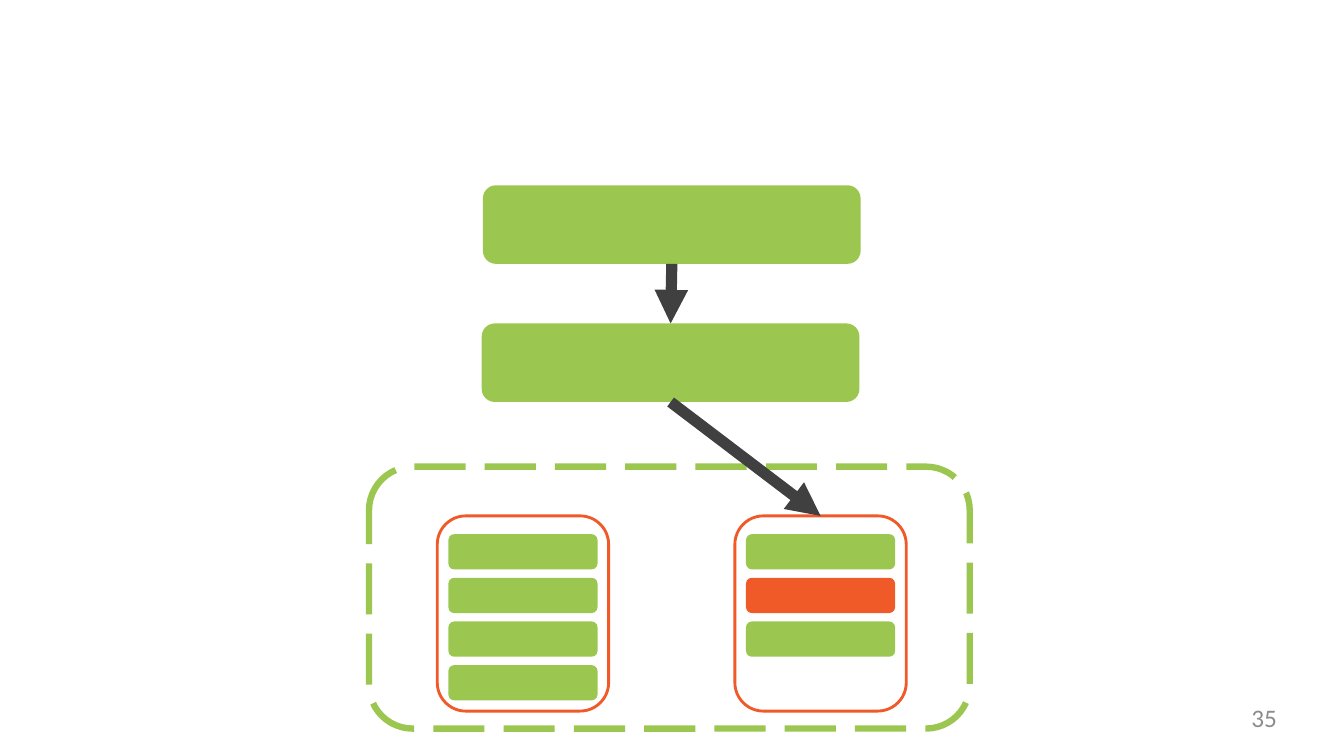
from lxml import etree
from pptx import Presentation
from pptx.dml.color import RGBColor
from pptx.enum.dml import MSO_LINE
from pptx.enum.shapes import MSO_CONNECTOR, MSO_SHAPE
from pptx.enum.text import PP_ALIGN
from pptx.oxml.ns import qn
from pptx.util import Cm, Pt

ROUNDED = MSO_SHAPE.ROUNDED_RECTANGLE
STRAIGHT = MSO_CONNECTOR.STRAIGHT
LONG_DASH = MSO_LINE.LONG_DASH
RIGHT = PP_ALIGN.RIGHT

GREEN, ORANGE, DARK, GREY = "9BC750", "EF5A28", "404040", "8C8C8C"
TOP, BOTTOM = 0, 2


def add_box(x, y, w, h, fill=None, line=None, width=0):
    """Add a rounded rectangle, measured in centimetres."""
    sp = s.shapes.add_shape(ROUNDED, Cm(x), Cm(y), Cm(w), Cm(h))
    sp.shadow.inherit = False
    if fill:
        sp.fill.solid()
        sp.fill.fore_color.rgb = RGBColor.from_string(fill)
    else:
        sp.fill.background()
    if line:
        sp.line.color.rgb = RGBColor.from_string(line)
        sp.line.width = Pt(width)
    else:
        sp.line.fill.background()
    return sp


def add_arrow(start, end):
    """Add a thick arrow from the bottom of one box to the top of another."""
    cn = s.shapes.add_connector(STRAIGHT, 0, 0, 0, 0)
    cn.begin_connect(start, BOTTOM)
    cn.end_connect(end, TOP)
    cn.line.color.rgb = RGBColor.from_string(DARK)
    cn.line.width = Pt(8)
    ln = cn.line._get_or_add_ln()
    etree.SubElement(ln, qn("a:tailEnd"), type="triangle")
    etree.SubElement(ln.getparent(), qn("a:effectLst"))


prs = Presentation()
prs.slide_width, prs.slide_height = Cm(33.87), Cm(19.05)
s = prs.slides.add_slide(prs.slide_layouts[6])

# Two stages above the group
upper = add_box(12.17, 4.67, 9.52, 1.98, fill=GREEN)
lower = add_box(12.14, 8.15, 9.52, 1.98, fill=GREEN)

# Dashed group with two stacks of rows
add_box(9.3, 11.76, 15.14, 6.6, line=GREEN, width=4.56)
stacks = [
    (11.02, [GREEN, GREEN, GREEN, GREEN]),
    (18.52, [GREEN, ORANGE, GREEN]),
]
for x, rows in stacks:
    stack = add_box(x, 13, 4.32, 4.92, line=ORANGE, width=2.04)
    for i, color in enumerate(rows):
        add_box(x + 0.28, 13.46 + 1.1 * i, 3.76, 0.89, fill=color)
s.shapes[2].line.dash_style = LONG_DASH

# Arrows from stage to stage and on to the right-hand stack
add_arrow(upper, lower)
add_arrow(lower, stack)

# Slide number
tb = s.shapes.add_textbox(Cm(24.38), Cm(17.7), Cm(7.8), Cm(0.97))
tf = tb.text_frame
tf.word_wrap = True
tf.margin_left = tf.margin_right = tf.margin_top = tf.margin_bottom = 0
p = tf.paragraphs[0]
p.text = "35"
p.alignment = RIGHT
p.font.size = Pt(18)
p.font.name = "Calibri"
p.font.color.rgb = RGBColor.from_string(GREY)

prs.save("out.pptx")
